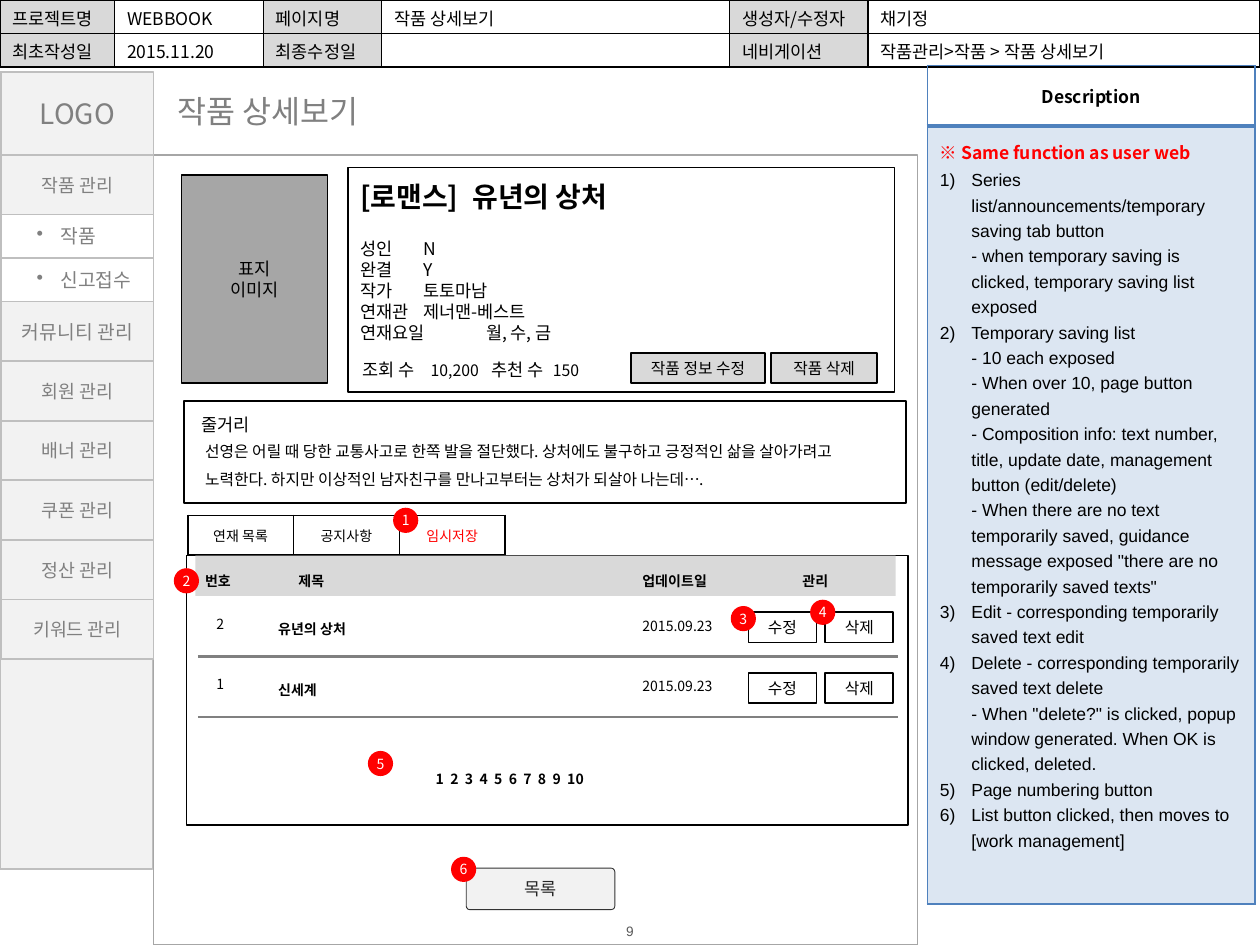
from dataclasses import dataclass
from lxml import etree
from pptx import Presentation, util as u
from pptx.dml.color import RGBColor
from pptx.enum import shapes as sh, text as t
from pptx.oxml import ns


@dataclass(frozen=True)
class Theme:
    sans: str = "Noto Sans CJK KR"
    arial: str = "Arial"
    black: str = "000000"
    white: str = "FFFFFF"
    red: str = "FF0000"
    blue: str = "4F81BD"
    pale: str = "DCE6F2"
    mute: str = "808080"
    edge: str = "BFBFBF"
    mid: str = "A6A6A6"
    head: str = "D9D9D9"
    soft: str = "F2F2F2"
    big: float = 18
    lead: float = 16
    menu: float = 10.5
    sub: float = 11
    body: float = 10
    note: float = 9
    tiny: float = 8


T = Theme()
C, L = t.PP_ALIGN.CENTER, t.PP_ALIGN.LEFT
MID, TOP = t.MSO_ANCHOR.MIDDLE, t.MSO_ANCHOR.TOP
RECT, OVAL = sh.MSO_SHAPE.RECTANGLE, sh.MSO_SHAPE.OVAL
PAD = (10, 5, 10, 5)

# The grid has 1000 columns and 750 rows
deck = Presentation()
deck.slide_width, deck.slide_height = u.Inches(10), u.Inches(7.5)
CELL = deck.slide_width / 1000
slide = deck.slides.add_slide(deck.slide_layouts[5])
parts = slide.shapes


def grid(*vals):
    return [u.Emu(round(v * CELL)) for v in vals]


def node(up, tag, **attrs):
    return etree.SubElement(up, ns.qn(tag), attrs)


def rgb(tone):
    return RGBColor.from_string(tone)


def paint(fill, tone):
    if tone:
        fill.solid()
        fill.fore_color.rgb = rgb(tone)
    else:
        fill.background()


def style(p, size, tone=T.black, bold=False, align=L, font=T.sans, gap=None,
          mark=None, hang=0, tabs=()):
    p.alignment = align
    if gap:
        p.line_spacing = gap
    ppr = p._p.get_or_add_pPr()
    if mark:
        dent = round(hang * CELL)
        ppr.set("marL", str(dent))
        ppr.set("indent", str(-dent))
        if mark == "1)":
            node(ppr, "a:buAutoNum", type="arabicParenR")
        else:
            node(ppr, "a:buChar", char=mark)
    if tabs:
        stops = node(ppr, "a:tabLst")
        for pos in tabs:
            node(stops, "a:tab", pos=str(round(pos * CELL)), algn="l")
    f = p.font
    f.name, f.size, f.bold, f.color.rgb = font, u.Pt(size), bold, rgb(tone)
    node(f._element, "a:ea", typeface=T.sans)


def write(frame, words, size, anchor=MID, pad=PAD, wrap=True, **look):
    frame.word_wrap = wrap
    frame.vertical_anchor = anchor
    (frame.margin_left, frame.margin_top,
     frame.margin_right, frame.margin_bottom) = grid(*pad)
    frame.text = words
    for p in frame.paragraphs:
        style(p, size, **look)
    return frame.paragraphs[0]


def label(x, y, w, h, words, size, anchor=TOP, **look):
    box = parts.add_textbox(*grid(x, y, w, h))
    return write(box.text_frame, words, size, anchor, **look)


def shape(x, y, w, h, words="", size=T.body, fill=None, line=T.black,
          wide=1, kind=RECT, align=C, **look):
    s = parts.add_shape(kind, *grid(x, y, w, h))
    s.shadow.inherit = False
    paint(s.fill, fill)
    paint(s.line.fill, line)
    if line:
        s.line.width = u.Pt(wide)
    if words:
        write(s.text_frame, words, size, align=align, **look)
    return s


def rule(x, y, w):
    r = parts.add_connector(sh.MSO_CONNECTOR.STRAIGHT, *grid(x, y, x + w, y))
    r.line.color.rgb, r.line.width = rgb(T.mute), u.Pt(1.5)
    node(r._element.spPr, "a:effectLst")


def table(x, y, cols, rows):
    frame = parts.add_table(len(rows), len(cols), *grid(x, y, sum(cols), sum(rows)))
    tab = frame.table
    tab.first_row = tab.horz_banding = False
    for col, w in zip(tab.columns, grid(*cols)):
        col.width = w
    for row, h in zip(tab.rows, grid(*rows)):
        row.height = h
    return tab


def fill_cell(cell, words, size, fill=None, edge=T.black, anchor=TOP, pad=PAD, low=1, **look):
    (cell.margin_left, cell.margin_top,
     cell.margin_right, cell.margin_bottom) = grid(*pad)
    cell.vertical_anchor = anchor
    cell.text = words
    for p in cell.text_frame.paragraphs:
        style(p, size, **look)
    paint(cell.fill, fill)
    props = cell._tc.get_or_add_tcPr()
    for i, side in enumerate("LRTB"):
        ln = node(props, "a:ln" + side, w=str(u.Pt(low if side == "B" else 1)))
        node(node(ln, "a:solidFill"), "a:srgbClr", val=edge)
        props.insert(i, ln)


def header(x, y):
    rows = [("프로젝트명", "WEBBOOK", "페이지명", "작품 상세보기", "생성자/수정자", "채기정"),
            ("최초작성일", "2015.11.20", "최종수정일", "", "네비게이션", "작품관리>작품 > 작품 상세보기")]
    tab = table(x, y, (91, 118, 94, 276, 110, 311), (26.5, 26.5))
    for r, row in enumerate(rows):
        for c, words in enumerate(row):
            fill_cell(tab.cell(r, c), words, T.body, None if c % 2 else T.head, pad=(10, 4, 5, 2))


def notes(x, y, w):
    items = [
        "Series list/announcements/temporary saving tab button \v- when temporary saving is clicked, temporary saving list exposed",
        "Temporary saving list \v- 10 each exposed \v- When over 10, page button generated \v- Composition info: text number, title, update date, management button (edit/delete) \v- When there are no text temporarily saved, guidance message exposed \"there are no temporarily saved texts\"",
        "Edit - corresponding temporarily saved text edit",
        "Delete - corresponding temporarily saved text delete \v- When \"delete?\" is clicked, popup window generated. When OK is clicked, deleted.",
        "Page numbering button",
        "List button clicked, then moves to [work management]"]
    tab = table(x, y, (w,), (48, 617))
    fill_cell(tab.cell(0, 0), "Description", T.body, edge=T.blue, anchor=MID, low=2, bold=True, align=C)
    cell = tab.cell(1, 0)
    fill_cell(cell, "※ Same function as user web", T.body, T.pale, T.blue, tone=T.red, bold=True, gap=1.3)
    for item in items:
        p = cell.text_frame.add_paragraph()
        p.text = item
        style(p, T.body, font=T.arial, gap=1.3, mark="1)", hang=25)


def side(x, y, w, h):
    shape(x, y, w, h, fill=T.soft, line=T.edge)
    look = dict(line=T.edge, tone=T.mute)
    shape(x + 1, y, w, 66, "LOGO", T.lead, T.soft, **look)
    top = y + 66
    menu = ["작품 관리", "• 작품", "• 신고접수", "커뮤니티 관리", "회원 관리",
            "배너 관리", "쿠폰 관리", "정산 관리", "키워드 관리"]
    for name in menu:
        if name.startswith("•"):
            tall = 34.5
            shape(x + 1, top, w, tall, name[2:], T.sub, T.white, align=L,
                  pad=(28, 5, 10, 5), mark="•", hang=19, **look)
        else:
            tall = 47.3
            shape(x + 1, top, w, tall, name, T.sub if "커뮤" in name else T.menu, T.soft, **look)
        top += tall


def work(x, y):
    # Cover, facts and counts
    shape(x, y + 6, 116, 165, "표지\v이미지", T.body, T.mid)
    shape(x + 132, y, 434, 178, "성인\tN\n완결\tY\n작가 \t토토마남\v연재관\t제너맨-베스트\n연재요일 \t월, 수, 금",
          align=L, pad=(10, 22, 10, 5))
    for dx, words in ((134, "[로맨스]"), (223, "유년의 상처")):
        label(x + dx, y + 11, 214, 23, words, T.lead, MID, pad=(8, 4, 8, 4), bold=True)
    for dx, w, name, num, tab in ((134, 114, "조회 수", "10,200", 54), (236, 90, "추천 수", "150", 49)):
        p = label(x + dx, y + 139, w, 32, name + "\t", T.body, wrap=False, gap=1.5, tabs=(tab,))
        run = p.add_run()
        run.text, run.font.size = num, u.Pt(T.note)
    for dx, w, words in ((357, 106, "작품 정보 수정"), (468, 84, "작품 삭제")):
        shape(x + dx, y + 147, w, 24, words, T.note, T.head, pad=(2, 2, 2, 2))


def story(x, y, w, h):
    shape(x, y, w, h)
    label(x + 4, y - 3, 60, 32, "줄거리", T.body, wrap=False, gap=1.5)
    label(x + 7, y + 20, 531, 53, "선영은 어릴 때 당한 교통사고로 한쪽 발을 절단했다. 상처에도 불구하고 긍정적인 삶을 살아가려고 노력한다. 하지만 이상적인 남자친구를 만나고부터는 상처가 되살아 나는데….",
          T.note, gap=1.5)


def saved(x, y, w, h):
    # Frame and column heads
    shape(x, y, w, h)
    shape(x + 7, y, 556, 32, fill=T.head, line=None)
    for dx, words in ((5, "번호"), (79, "제목"), (352, "업데이트일"), (479, "관리")):
        label(x + dx, y + 2, 73, 28, words, T.tiny, wrap=False, gap=1.5, bold=True)
    # One row for each saved text
    for i, (num, name) in enumerate((("2", "유년의 상처"), ("1", "신세계"))):
        top = y + 40 + 48 * i
        label(x + 14, top + 3, 180, 22, num, T.tiny, MID)
        label(x + 63, top, 194, 28, name, T.tiny, gap=1.5, bold=True)
        shape(x + 352, top + 3, 78, 25, "2015.09.23", T.tiny, T.white, None, align=L, wrap=False)
        for dx, act in ((446, "수정"), (507, "삭제")):
            shape(x + dx, top + 5, 54, 24, act, T.note)
        rule(x + 9, top + 40, 556)
    label(x + 188, y + 166, 164, 24, "\t".join(str(n) for n in range(1, 11)), T.tiny,
          wrap=False, bold=True, tabs=[11.6 * n for n in range(1, 10)])
    # Tabs on top of the frame
    tab = table(x + 1, y - 32, (84,) * 3, (31,))
    for c, (words, tone) in enumerate((("연재 목록", T.black), ("공지사항", T.black), ("임시저장", T.red))):
        fill_cell(tab.cell(0, c), words, T.tiny, T.white, anchor=MID, pad=(4, 5, 4, 5), align=C, tone=tone)


def badges(spots):
    for n, (x, y) in enumerate(spots, 1):
        shape(x, y, 20, 20, str(n), T.tiny, T.red, None, kind=OVAL, pad=(0,) * 4, tone=T.white)


def main():
    head = parts.title
    head.left, head.top, head.width, head.height = grid(131, 68, 181, 40)
    write(head.text_frame, "작품 상세보기", T.big, TOP, wrap=False, tone=T.mute)
    label(457, 732, 86, 14, "9", 7.8, MID, pad=(0,) * 4, align=C, font=T.arial, tone="595959")
    header(0, 0)
    notes(736, 52, 260)
    shape(122, 123, 606, 627, line=T.mid, wide=0.75)
    side(0, 57, 121, 633)
    work(144, 133)
    story(146, 318, 573, 81)
    saved(148, 441, 573, 214)
    done = shape(370, 689, 118, 33, "목록", T.body, T.soft, "333333", 0.5,
                 sh.MSO_SHAPE.ROUNDED_RECTANGLE, font="Calibri", tone="262626")
    done.adjustments[0] = 0.09
    badges([(312, 403), (138, 451), (580, 481), (643, 476), (292, 596), (358, 680)])
    deck.save("out.pptx")


if __name__ == "__main__":
    main()
